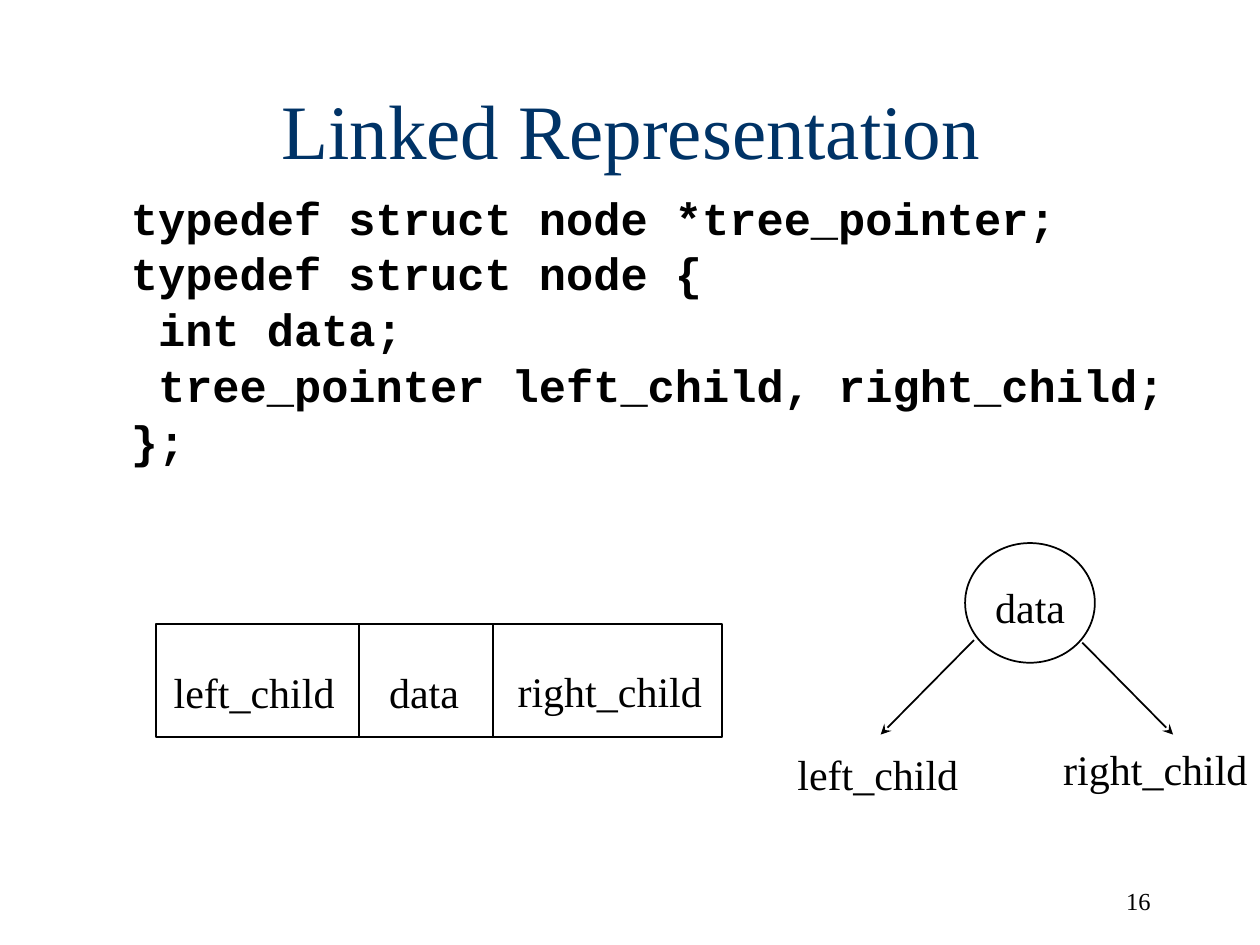
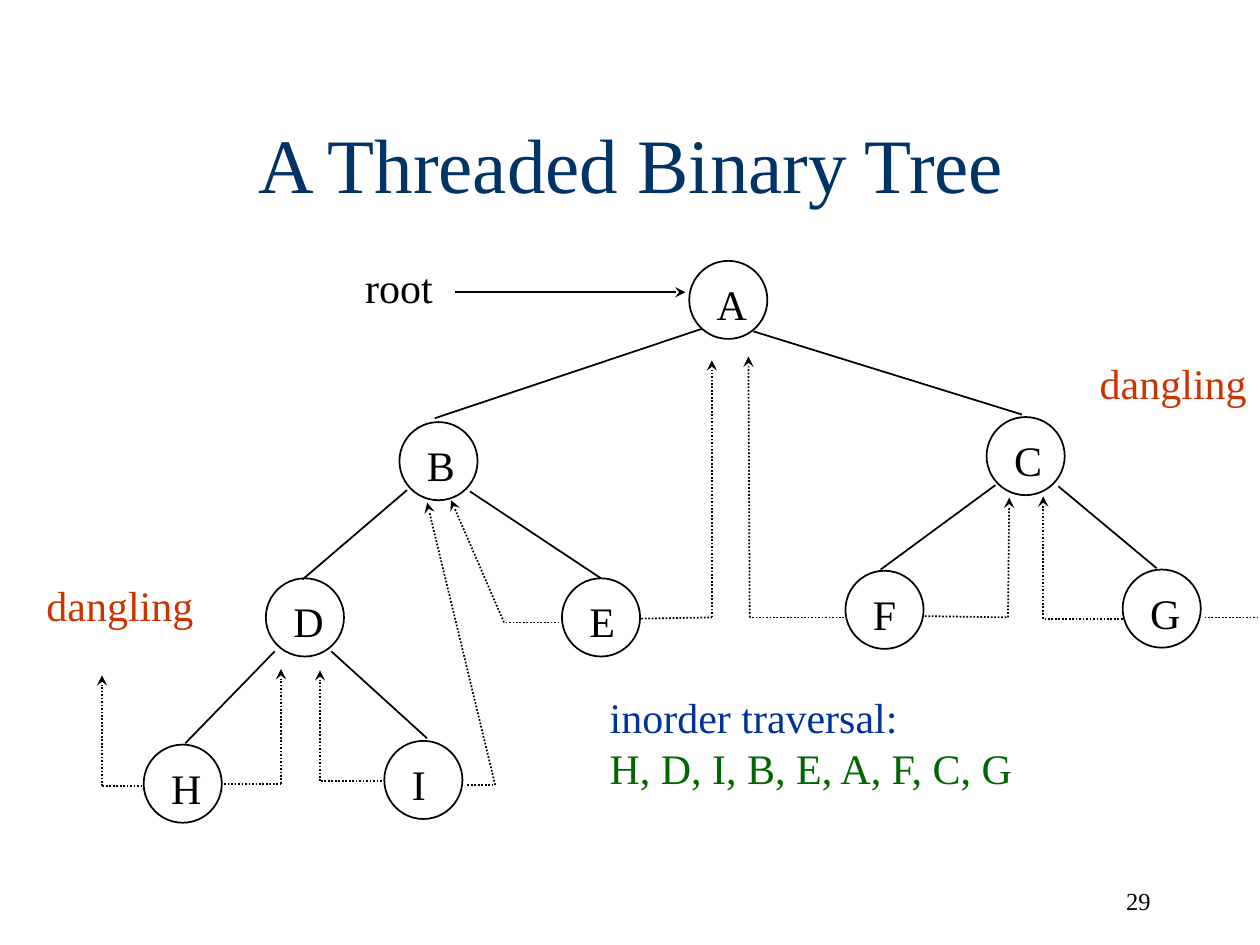
"""Build two slides on linked binary trees and threaded binary trees."""
from lxml import etree
from pptx import Presentation
from pptx.dml.color import RGBColor
from pptx.enum.dml import MSO_LINE
from pptx.enum.shapes import MSO_CONNECTOR, MSO_SHAPE
from pptx.enum.text import MSO_ANCHOR, MSO_AUTO_SIZE, PP_ALIGN
from pptx.oxml.ns import qn
from pptx.util import Pt

PX = 9144
BLACK = RGBColor(0x00, 0x00, 0x00)
NAVY = RGBColor(0x00, 0x33, 0x66)
RED = RGBColor(0xCC, 0x33, 0x00)
BLUE = RGBColor(0x00, 0x33, 0x99)
GREEN = RGBColor(0x00, 0x66, 0x00)
SERIF, MONO = "Times New Roman", "Courier New"
LEFT, CENTER, RIGHT = PP_ALIGN.LEFT, PP_ALIGN.CENTER, PP_ALIGN.RIGHT
MIDDLE, NO_FIT = MSO_ANCHOR.MIDDLE, MSO_AUTO_SIZE.NONE
RECT, OVAL = MSO_SHAPE.RECTANGLE, MSO_SHAPE.OVAL
STRAIGHT, DOTTED = MSO_CONNECTOR.STRAIGHT, MSO_LINE.ROUND_DOT


def text(sp, box, lines, size=24, font=SERIF, align=LEFT, wrap=False):
    """Place a text shape and write one (text, colour) run per line."""
    sp.left, sp.top, sp.width, sp.height = [v * PX for v in box]
    tf = sp.text_frame
    tf.word_wrap, tf.auto_size = wrap, NO_FIT
    for i, (words, color) in enumerate(lines):
        p = tf.add_paragraph() if i else tf.paragraphs[0]
        p.alignment = align
        r = p.add_run()
        r.text = words
        r.font.name, r.font.size = font, Pt(size)
        r.font.color.rgb = color
    return tf


def link(s, start, end, arrow=False, dotted=False):
    """Draw a straight line, optionally dotted or with an arrowhead."""
    c = s.shapes.add_connector(STRAIGHT, *[v * PX for v in start + end])
    c.line.color.rgb, c.line.width = BLACK, Pt(1)
    if dotted:
        c.line.dash_style = DOTTED
    if arrow:
        etree.SubElement(c.line._ln, qn("a:tailEnd"), type="stealth")
    etree.SubElement(c._element.spPr, qn("a:effectLst"))


prs = Presentation()
prs.slide_width, prs.slide_height = 1000 * PX, 750 * PX

SLIDES = [("Linked Representation", 40, "16"), ("A Threaded Binary Tree", 67, "29")]
for title, top, number in SLIDES:
    s = prs.slides.add_slide(prs.slide_layouts[5])
    tf = text(s.shapes.title, (0, top, 1002, 125), [(title, NAVY)], 44, align=CENTER, wrap=True)
    tf.vertical_anchor = MIDDLE
    text(s.shapes.add_textbox(0, 0, 0, 0), (715, 698, 208, 50), [(number, BLACK)],
         14, align=RIGHT, wrap=True)
linked, threaded = prs.slides

CODE = [
    "typedef struct node *tree_pointer;",
    "typedef struct node {",
    " int data;",
    " tree_pointer left_child, right_child;",
    "};",
]
tf = text(linked.shapes.add_textbox(0, 0, 0, 0), (94, 154, 1002, 261),
          [(row, BLACK) for row in CODE], 25.9, MONO, wrap=True)
for i, p in enumerate(tf.paragraphs):
    p.line_spacing = 0.8
    p.space_before = Pt(7 if i else 0)
    p.runs[0].font.bold = True

NODES = [
    ("A", 547, 207, 44), ("B", 317, 335, 42), ("C", 783, 331, 42),
    ("G", 891, 452, 44), ("E", 446, 459, 41), ("I", 305, 588, 31),
    ("D", 211, 459, 44), ("H", 114, 591, 44), ("F", 671, 453, 39),
]
OUTLINES = [(linked, RECT, 124, 495, 449, 90), (linked, OVAL, 766, 431, 103, 95)]
OUTLINES += [(threaded, OVAL, x, y, 62, 62) for _, x, y, _ in NODES]
for s, kind, *box in OUTLINES:
    sp = s.shapes.add_shape(kind, *[v * PX for v in box])
    sp.shadow.inherit = False
    sp.fill.background()
    sp.line.color.rgb, sp.line.width = BLACK, Pt(1)

LABELS = [
    (linked, "data", 299, 524, 76, BLACK),
    (linked, "left_child", 128, 524, 148, BLACK),
    (linked, "right_child", 401, 523, 166, BLACK),
    (linked, "data", 780, 457, 76, BLACK),
    (linked, "left_child", 623, 589, 148, BLACK),
    (linked, "right_child", 834, 585, 166, BLACK),
    (threaded, "root", 280, 203, 74, BLACK),
    (threaded, "dangling", 27, 455, 136, RED),
    (threaded, "dangling", 863, 279, 136, RED),
]
LABELS += [(threaded, name, x + 12, y + 9, w, BLACK) for name, x, y, w in NODES]
for s, words, x, y, w, color in LABELS:
    text(s.shapes.add_textbox(0, 0, 0, 0), (x, y, w, 50), [(words, color)])

for x, bottom in [(285, 585), (391, 584)]:
    link(linked, (x, 496), (x, bottom))
link(linked, (773, 508), (699, 583), arrow=True)
link(linked, (859, 510), (931, 583), arrow=True)

EDGES = [
    ((557, 261), (345, 332)), ((598, 263), (811, 329)),
    ((323, 389), (240, 460)), ((373, 390), (477, 459)),
    ((790, 385), (699, 452)), ((840, 386), (918, 451)),
    ((218, 517), (147, 590)), ((263, 517), (339, 586)),
]
for start, end in EDGES:
    link(threaded, start, end)
link(threaded, (361, 232), (544, 232), arrow=True)

THREADS = [
    ((371, 623), (393, 623), (339, 399)),
    ((444, 494), (400, 494), (358, 397)),
    ((178, 622), (223, 622), (223, 531)),
    ((303, 620), (254, 620), (254, 532)),
    ((670, 490), (595, 490), (594, 283)),
    ((891, 491), (828, 491), (828, 394)),
    ((113, 624), (81, 624), (81, 536)),
    ((509, 491), (565, 490), (565, 286)),
    ((734, 489), (800, 490), (801, 395)),
]
for start, corner, tip in THREADS:
    link(threaded, start, corner, dotted=True)
    link(threaded, corner, tip, arrow=True, dotted=True)
link(threaded, (956, 490), (998, 490), dotted=True)

text(threaded.shapes.add_textbox(0, 0, 0, 0), (474, 544, 344, 90),
     [("inorder traversal:", BLUE), ("H, D, I, B, E, A, F, C, G", GREEN)])

prs.save("out.pptx")
